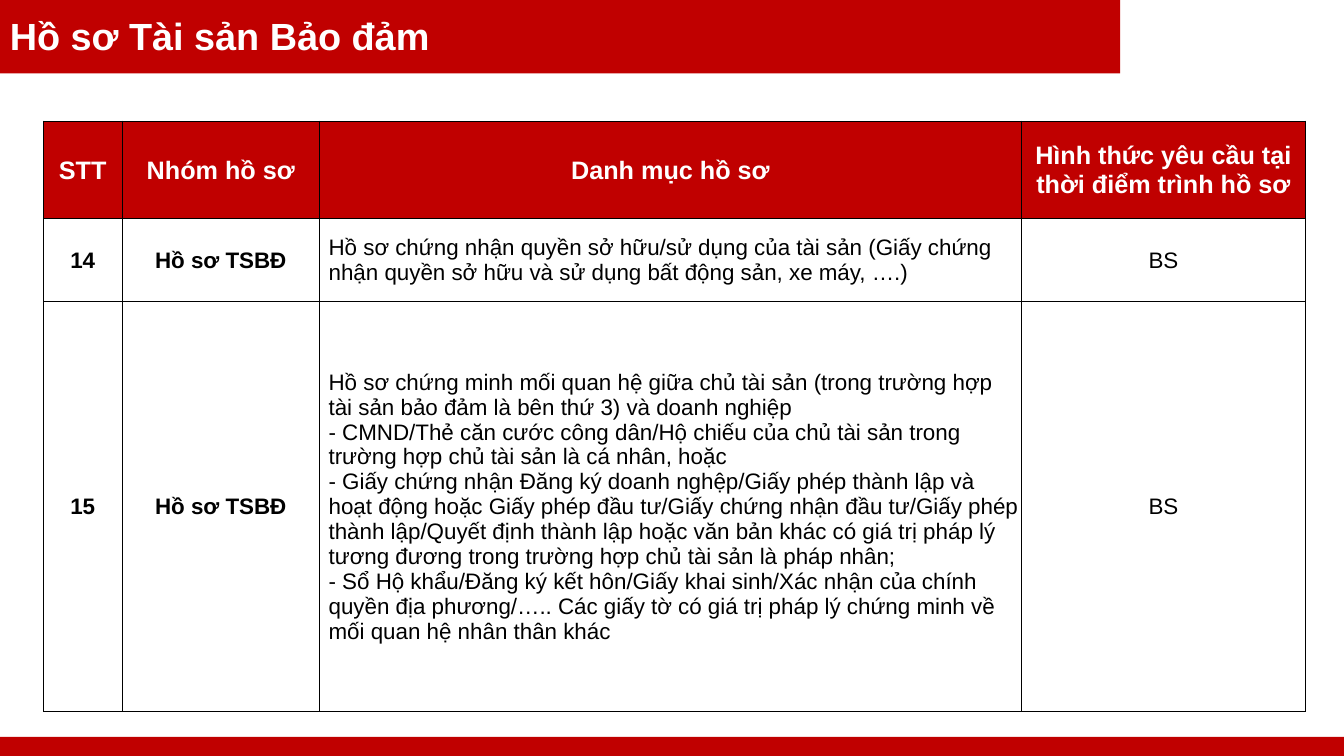
from lxml.etree import SubElement
from pptx import Presentation
from pptx.dml.color import RGBColor
from pptx.enum.shapes import MSO_SHAPE
from pptx.enum.text import MSO_ANCHOR, PP_ALIGN
from pptx.oxml.ns import qn
from pptx.util import Inches, Pt

RED = RGBColor(0xC0, 0x00, 0x00)
WHITE = RGBColor(0xFF, 0xFF, 0xFF)
BLACK = RGBColor(0x00, 0x00, 0x00)

HEADINGS = ["STT", "Nhóm hồ sơ", "Danh mục hồ sơ", "Hình thức yêu cầu tại thời điểm trình hồ sơ"]
OWNERSHIP = (
    "Hồ sơ chứng nhận quyền sở hữu/sử dụng của tài sản "
    "(Giấy chứng nhận quyền sở hữu và sử dụng bất động sản, xe máy, ….)"
)
RELATIONSHIP = (
    "Hồ sơ chứng minh mối quan hệ giữa chủ tài sản (trong trường hợp tài sản bảo đảm "
    "là bên thứ 3) và doanh nghiệp\n"
    "- CMND/Thẻ căn cước công dân/Hộ chiếu của chủ tài sản trong trường hợp chủ tài sản "
    "là cá nhân, hoặc\n"
    "- Giấy chứng nhận Đăng ký doanh nghệp/Giấy phép thành lập và hoạt động hoặc "
    "Giấy phép đầu tư/Giấy chứng nhận đầu tư/Giấy phép thành lập/Quyết định thành lập "
    "hoặc văn bản khác có giá trị pháp lý tương đương trong trường hợp chủ tài sản "
    "là pháp nhân;\n"
    "- Sổ Hộ khẩu/Đăng ký kết hôn/Giấy khai sinh/Xác nhận của chính quyền địa phương/….. "
    "Các giấy tờ có giá trị pháp lý chứng minh về mối quan hệ nhân thân khác"
)
ROWS = [
    HEADINGS,
    ["14", "Hồ sơ TSBĐ", OWNERSHIP, "BS"],
    ["15", "Hồ sơ TSBĐ", RELATIONSHIP, "BS"],
]
COLUMN_WIDTHS = [0.78, 1.96, 6.96, 2.82]
ROW_HEIGHTS = [0.97, 0.82, 4.07]
DOCUMENT_COLUMN = 2


def add_run(paragraph, text, size, color, bold):
    run = paragraph.add_run()
    run.text = text
    run.font.name = "Arial"
    run.font.size = Pt(size)
    run.font.bold = bold
    run.font.color.rgb = color


def add_borders(cell):
    properties = cell._tc.get_or_add_tcPr()
    for side in ("a:lnL", "a:lnR", "a:lnT", "a:lnB"):
        line = SubElement(properties, qn(side), w=str(Pt(0.5)))
        fill = SubElement(line, qn("a:solidFill"))
        SubElement(fill, qn("a:srgbClr"), val=str(BLACK))


prs = Presentation()
prs.slide_width = Inches(13.33)
prs.slide_height = Inches(7.5)
slide = prs.slides.add_slide(prs.slide_layouts[6])

for top, width, height in [(0, 11.11, 0.73), (7.31, 13.33, 0.19)]:
    band = slide.shapes.add_shape(
        MSO_SHAPE.RECTANGLE, 0, Inches(top), Inches(width), Inches(height)
    )
    band.shadow.inherit = False
    band.fill.solid()
    band.fill.fore_color.rgb = RED
    band.line.fill.background()

checklist = slide.shapes.add_table(
    len(ROWS), len(HEADINGS), Inches(0.43), Inches(1.2),
    Inches(sum(COLUMN_WIDTHS)), Inches(sum(ROW_HEIGHTS)),
).table
for column, width in zip(checklist.columns, COLUMN_WIDTHS):
    column.width = Inches(width)
for row, height in zip(checklist.rows, ROW_HEIGHTS):
    row.height = Inches(height)

for r, entries in enumerate(ROWS):
    heading = r == 0
    for c, entry in enumerate(entries):
        cell = checklist.cell(r, c)
        cell.margin_left = cell.margin_right = cell.margin_top = Inches(0.01)
        cell.margin_bottom = 0
        cell.vertical_anchor = MSO_ANCHOR.MIDDLE
        add_borders(cell)
        cell.fill.solid()
        cell.fill.fore_color.rgb = RED if heading else WHITE

        paragraph = cell.text_frame.paragraphs[0]
        if c == DOCUMENT_COLUMN and not heading:
            paragraph.alignment = PP_ALIGN.LEFT
            paragraph._p.get_or_add_pPr().set("marL", str(Inches(0.08)))
        else:
            paragraph.alignment = PP_ALIGN.CENTER
        for i, line in enumerate(entry.split("\n")):
            if i:
                paragraph.add_line_break()
            add_run(
                paragraph, line, 18 if heading else 16,
                WHITE if heading else BLACK, heading or c < DOCUMENT_COLUMN,
            )

title = slide.shapes.add_textbox(0, 0, Inches(10.57), Inches(0.76)).text_frame
title.word_wrap = True
title.vertical_anchor = MSO_ANCHOR.MIDDLE
title.paragraphs[0].line_spacing = 0.9
add_run(title.paragraphs[0], "Hồ sơ Tài sản Bảo đảm", 27, WHITE, True)

prs.save("out.pptx")
